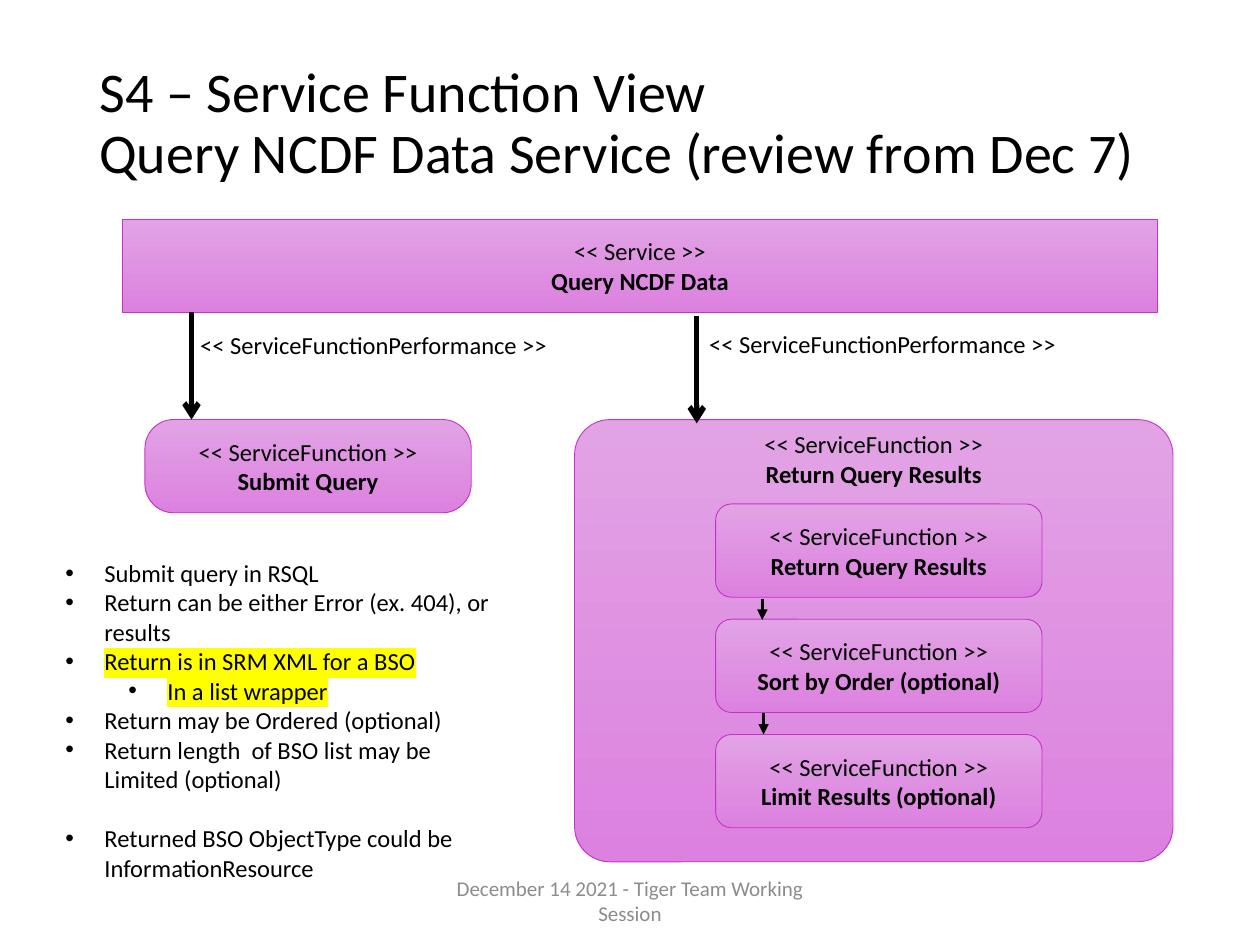
from lxml import etree
from pptx import Presentation
from pptx import util as u
from pptx.dml.color import RGBColor
from pptx.enum import shapes, text
from pptx.oxml import ns

HUES = {"ink": "000000", "top": "E2A3E5", "base": "DC81DF", "edge": "C830CC",
        "foot": "8C8C8C", "mark": "FFFF00"}
HUE = {name: RGBColor.from_string(code) for name, code in HUES.items()}
LEFT, MID = text.PP_ALIGN.LEFT, text.PP_ALIGN.CENTER
TOP, CORE = text.MSO_ANCHOR.TOP, text.MSO_ANCHOR.MIDDLE
FUNC = "<< ServiceFunction >>"
PERF = "<< ServiceFunctionPerformance >>"

deck = Presentation()
deck.slide_width, deck.slide_height = u.Inches(10), u.Inches(7.5)
slide = deck.slides.add_slide(deck.slide_layouts[6])


def write(shape, lines, size=14, hue="ink", align=MID, anchor=CORE, wrap=True):
    frame = shape.text_frame
    frame.text = "\n".join(lines)
    frame.word_wrap, frame.vertical_anchor = wrap, anchor
    for row, para in enumerate(frame.paragraphs):
        para.alignment = align
        for run in para.runs:
            run.font.name, run.font.size = "Calibri", u.Pt(size)
            run.font.color.rgb = HUE[hue]
            run.font.bold = align == MID and row == 1
    return frame


def place(*spot):
    return slide.shapes.add_textbox(*map(u.Inches, spot))


title = write(place(0.69, 0.4, 8.62, 1.18),
              ["S4 – Service Function View\vQuery NCDF Data Service (review from Dec 7)"],
              size=32, align=LEFT)
title.paragraphs[0].line_spacing = 0.9

RECT, ROUND = shapes.MSO_SHAPE.RECTANGLE, shapes.MSO_SHAPE.ROUNDED_RECTANGLE
steps = ["Return Query Results", "Sort by Order (optional)", "Limit Results (optional)"]
boxes = [
    (RECT, None, (0.97, 1.74, 8.22, 0.74), ["<< Service >>", "Query NCDF Data"]),
    (ROUND, 0.31, (1.15, 3.33, 2.59, 0.74), [FUNC, "Submit Query"]),
    (ROUND, 0.08, (4.56, 3.33, 4.75, 3.51), []),
]
for row, step in enumerate(steps):
    boxes.append((ROUND, 0.17, (5.68, 4 + row * 0.915, 2.59, 0.74), [FUNC, step]))

for kind, curve, spot, lines in boxes:
    box = slide.shapes.add_shape(kind, *map(u.Inches, spot))
    box.shadow.inherit = False
    if curve:
        box.adjustments[0] = curve
    box.fill.gradient()
    box.fill.gradient_angle = 270
    for stop, name, pos in zip(box.fill.gradient_stops, ("top", "base"), (0, 1)):
        stop.color.rgb, stop.position = HUE[name], pos
    box.line.color.rgb, box.line.width = HUE["edge"], u.Pt(0.5)
    if lines:
        write(box, lines)

write(place(5.96, 3.36, 1.95, 0.57), [FUNC, steps[0]], anchor=TOP, wrap=False)
for left, top in ((1.49, 2.57), (5.53, 2.56)):
    write(place(left, top, 2.98, 0.34), [PERF], align=LEFT, anchor=TOP, wrap=False)

arrows = [(1.52, 2.48, 3.33, 3, "arrow"), (5.53, 2.51, 3.36, 3, "arrow"),
          (6.05, 4.75, 4.92, 2, "triangle"), (6.06, 5.66, 5.83, 2, "triangle")]
for left, top, end, width, head in arrows:
    line = slide.shapes.add_connector(shapes.MSO_CONNECTOR.STRAIGHT,
                                      *map(u.Inches, (left, top, left, end)))
    line.line.color.rgb, line.line.width = HUE["ink"], u.Pt(width)
    etree.SubElement(line.line._get_or_add_ln(), ns.qn("a:tailEnd"), type=head)
    etree.SubElement(line._element.spPr, ns.qn("a:effectLst"))

notes = [
    ("Submit query in RSQL", 0, False),
    ("Return can be either Error (ex. 404), or results", 0, False),
    ("Return is in SRM XML for a BSO", 0, True),
    ("In a list wrapper", 1, True),
    ("Return may be Ordered (optional)", 0, False),
    ("Return length  of BSO list may be Limited (optional)", 0, False),
    ("Returned BSO ObjectType could be InformationResource", 0, False),
]
frame = write(place(0.42, 4.38, 3.58, 2.69), [note[0] for note in notes],
              align=LEFT, anchor=TOP)
for para, (_, level, mark) in zip(frame.paragraphs, notes):
    para.level = level
    props = para._p.get_or_add_pPr()
    props.set("marL", str(u.Inches(0.31 + level * 0.5)))
    props.set("indent", str(u.Inches(-0.31)))
    if mark:
        glow = etree.Element(ns.qn("a:highlight"))
        etree.SubElement(glow, ns.qn("a:srgbClr"), val=HUES["mark"])
        para.runs[0].font._element.find(ns.qn("a:solidFill")).addnext(glow)
frame.paragraphs[-1].space_before = u.Pt(17)
for para in frame.paragraphs:
    props = para._p.get_or_add_pPr()
    etree.SubElement(props, ns.qn("a:buFont"), typeface="Arial")
    etree.SubElement(props, ns.qn("a:buChar"), char="•")

write(place(3.31, 6.95, 3.38, 0.4), ["December 14 2021 - Tiger Team Working Session"],
      size=12, hue="foot")

deck.save("out.pptx")
